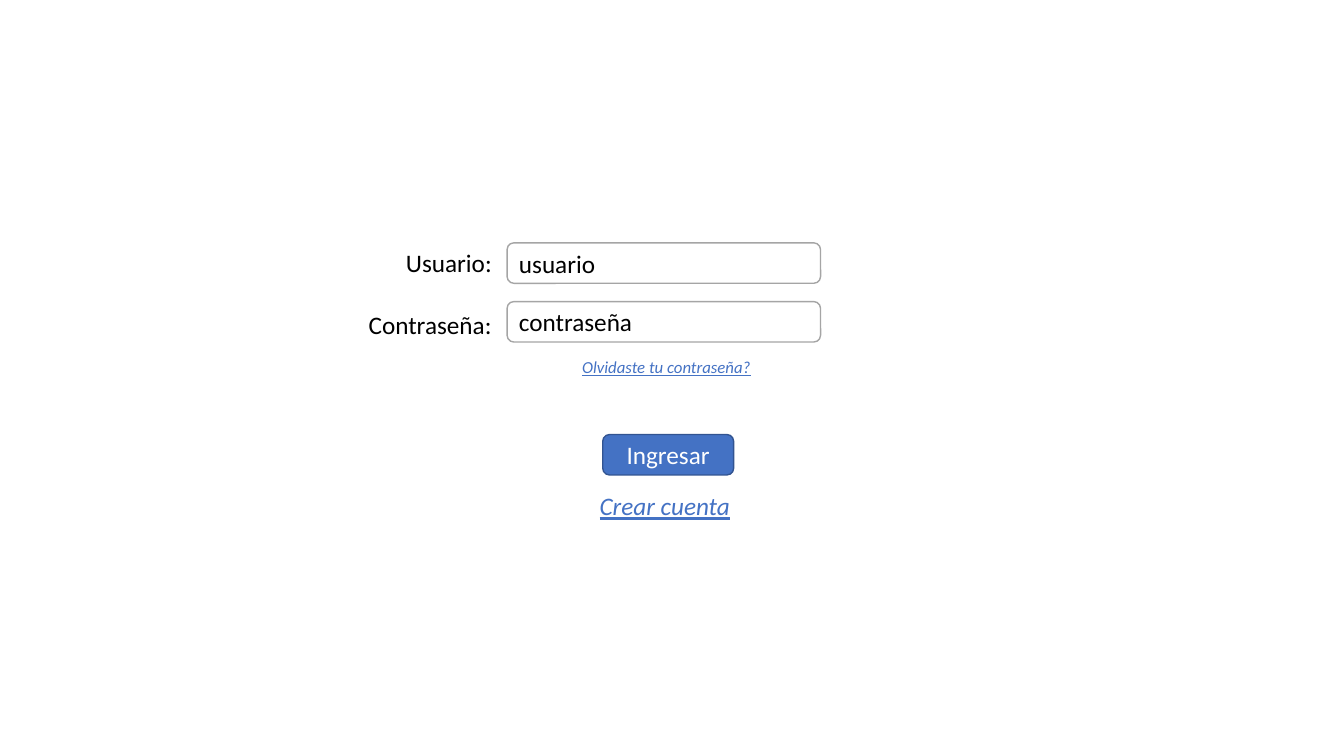
from pptx import Presentation
from pptx.dml.color import RGBColor
from pptx.enum.shapes import MSO_SHAPE as Shape
from pptx.enum.text import MSO_ANCHOR as Anchor, MSO_AUTO_SIZE as AutoSize, PP_ALIGN as Align
from pptx.util import Cm, Pt

BLACK = RGBColor(0x00, 0x00, 0x00)
WHITE = RGBColor(0xFF, 0xFF, 0xFF)
GRAY = RGBColor(0xA5, 0xA5, 0xA5)
BLUE = RGBColor(0x44, 0x72, 0xC4)
DARK_BLUE = RGBColor(0x32, 0x54, 0x91)


class LoginForm:
    font_name = "Calibri"
    row_height = 1.02
    field_left, field_width = 12.78, 7.9

    def __init__(self, slide):
        self.slide = slide

    def add_text(self, frame, text, color, size=18, align=Align.LEFT, **extras):
        paragraph = frame.paragraphs[0]
        paragraph.alignment = align
        run = paragraph.add_run()
        run.text = text
        run.font.color.rgb = color
        font_format = {"name": self.font_name, "size": Pt(size), **extras}
        for attribute, value in font_format.items():
            setattr(run.font, attribute, value)

    def rounded_box(self, text, left, top, width, fill, border, color, align):
        box = self.slide.shapes.add_shape(
            Shape.ROUNDED_RECTANGLE, Cm(left), Cm(top), Cm(width), Cm(self.row_height))
        box.shadow.inherit = False
        box.fill.solid()
        box.fill.fore_color.rgb = fill
        box.line.color.rgb = border
        box.line.width = Pt(1)
        box.text_frame.vertical_anchor = Anchor.MIDDLE
        self.add_text(box.text_frame, text, color, align=align)

    def field(self, text, top):
        self.rounded_box(text, self.field_left, top, self.field_width,
                         WHITE, GRAY, BLACK, Align.LEFT)

    def button(self, text, left, top, width):
        self.rounded_box(text, left, top, width, BLUE, DARK_BLUE, WHITE, Align.CENTER)

    def label(self, text, left, top, width, height=row_height, color=BLACK, **font_format):
        box = self.slide.shapes.add_textbox(Cm(left), Cm(top), Cm(width), Cm(height))
        frame_format = {"word_wrap": True, "auto_size": AutoSize.SHAPE_TO_FIT_TEXT}
        for attribute, value in frame_format.items():
            setattr(box.text_frame, attribute, value)
        self.add_text(box.text_frame, text, color, **font_format)

    def link(self, text, left, top, width, height=row_height, size=18):
        self.label(text, left, top, width, height, BLUE,
                   size=size, italic=True, underline=True)


def main():
    presentation = Presentation()
    presentation.slide_width, presentation.slide_height = Cm(33.87), Cm(19.05)
    form = LoginForm(presentation.slides.add_slide(presentation.slide_layouts[6]))

    form.field("usuario", 6.12)
    form.field("contraseña", 7.6)
    form.label("Usuario:", 9.98, 6.12, 3.43)
    form.label("Contraseña:", 9.04, 7.66, 4.85)
    form.button("Ingresar", 15.19, 10.95, 3.3)
    form.link("Crear cuenta", 14.86, 12.24, 3.96)
    form.link("Olvidaste tu contraseña?", 14.42, 8.87, 4.83, height=0.77, size=12)

    presentation.save("out.pptx")


if __name__ == "__main__":
    main()
